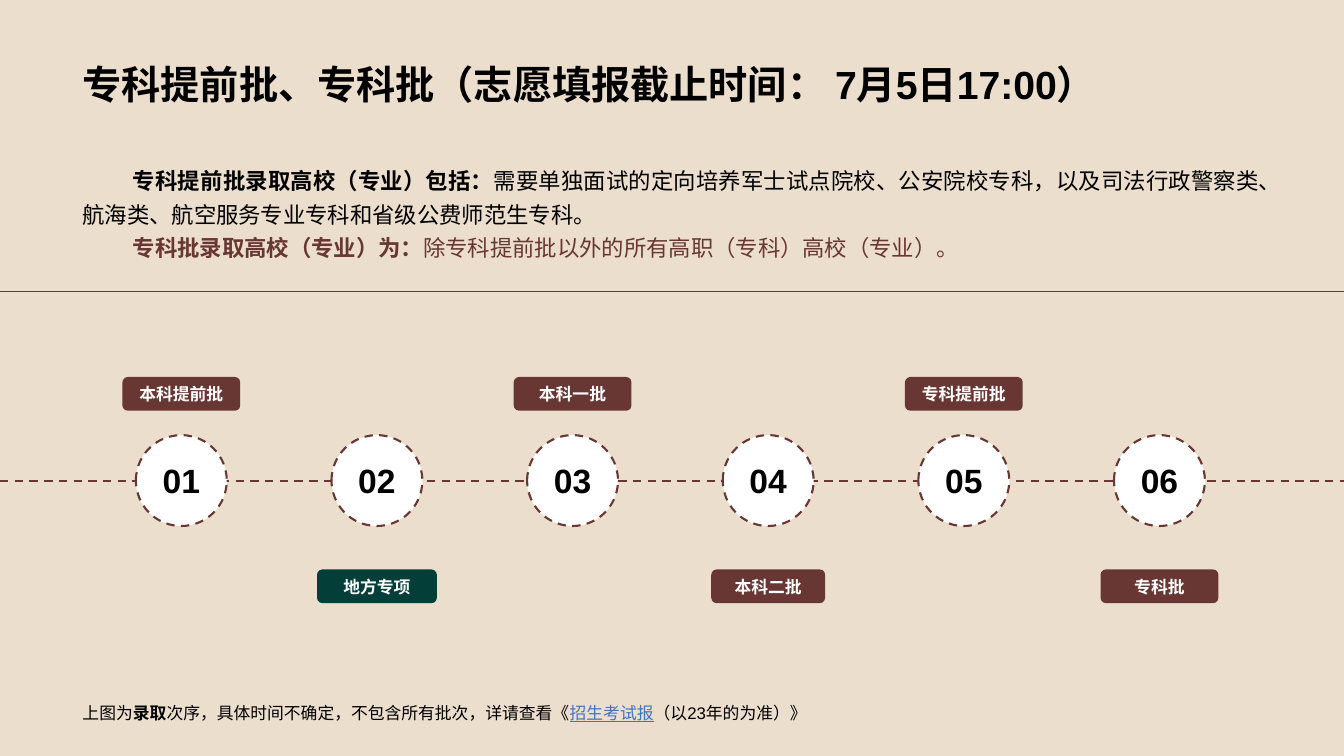
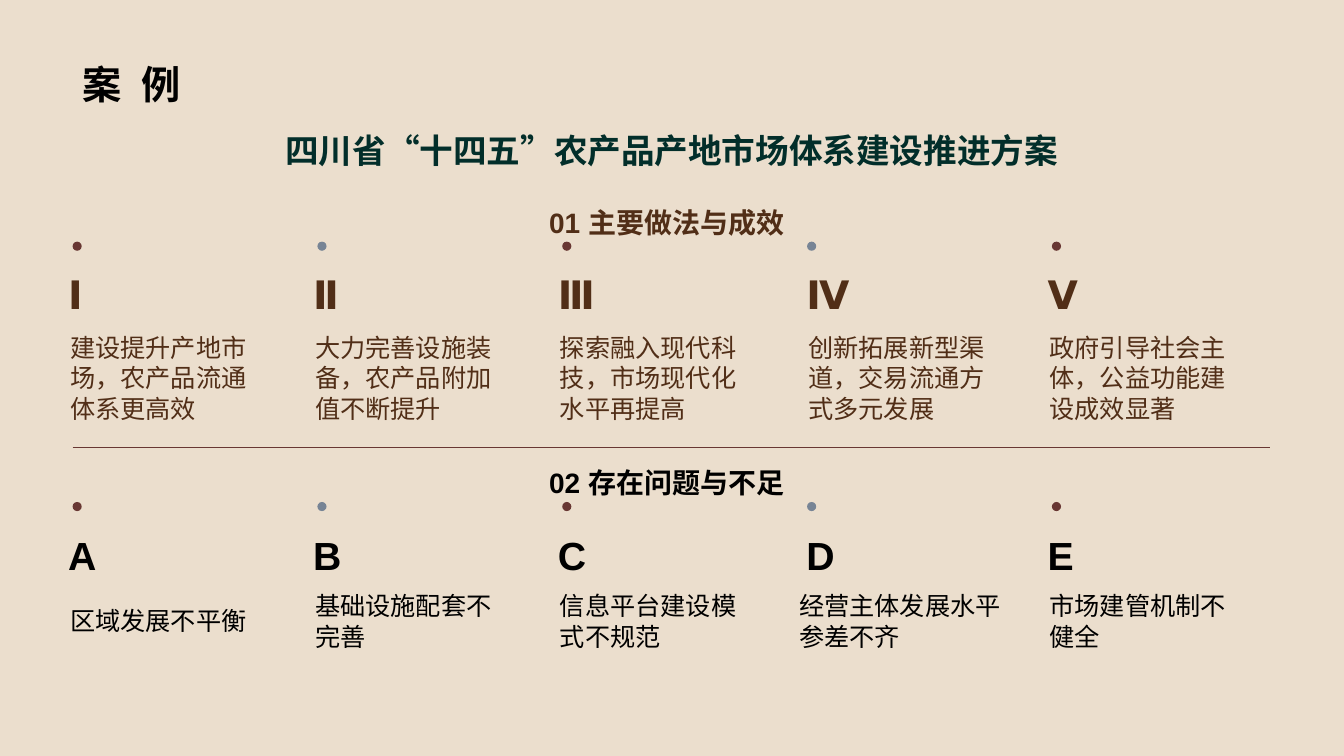
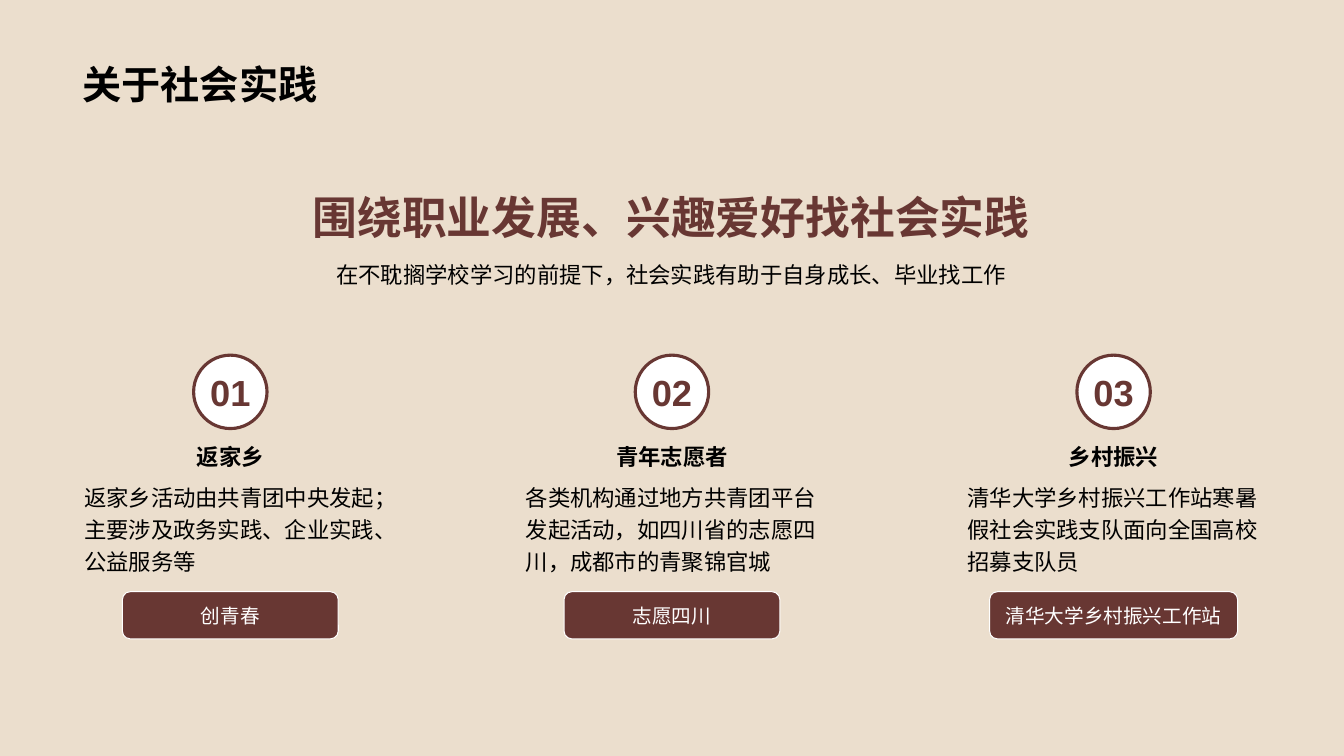
"""Build three slides on admission batches, a market case study and social practice."""
from dataclasses import dataclass, replace
from typing import Optional, Sequence

from lxml import etree
from pptx import Presentation
from pptx.dml.color import RGBColor
from pptx.enum.dml import MSO_LINE
from pptx.enum.lang import MSO_LANGUAGE_ID
from pptx.enum.shapes import MSO_CONNECTOR, MSO_SHAPE
from pptx.enum.text import MSO_ANCHOR, PP_ALIGN
from pptx.oxml.ns import qn
from pptx.shapes.autoshape import Shape
from pptx.slide import Slide
from pptx.util import Cm, Pt

LEFT, CENTER, JUSTIFY = PP_ALIGN.LEFT, PP_ALIGN.CENTER, PP_ALIGN.JUSTIFY
TOP, MIDDLE, BOTTOM = MSO_ANCHOR.TOP, MSO_ANCHOR.MIDDLE, MSO_ANCHOR.BOTTOM
ROUNDED, OVAL = MSO_SHAPE.ROUNDED_RECTANGLE, MSO_SHAPE.OVAL
STRAIGHT, DASH = MSO_CONNECTOR.STRAIGHT, MSO_LINE.DASH
CHINESE = MSO_LANGUAGE_ID.SIMPLIFIED_CHINESE

FONT = "Arial"
COLORS = {
    "sand": "EBDECD", "black": "000000", "white": "FFFFFF", "maroon": "683733",
    "brown": "512E17", "green": "033E38", "dark green": "022E2A",
    "slate": "778495", "blue": "4472C4",
}
SLIDE_WIDTH, SLIDE_HEIGHT = 33.87, 19.05
MARGIN, CONTENT_WIDTH = 1.83, 30.18


@dataclass(frozen=True)
class Style:
    """Formatting of a block of text."""
    size: float
    color: str = "black"
    bold: bool = False
    align: PP_ALIGN = LEFT
    anchor: MSO_ANCHOR = TOP
    spacing: float = 1.0
    inset: Optional[float] = None
    indent: float = 0
    tracking: float = 0


@dataclass(frozen=True)
class Span:
    """Stretch of text that may differ from its block's style."""
    text: str
    bold: bool = False
    color: str = "black"
    underline: bool = False


@dataclass(frozen=True)
class Box:
    """Position and size in centimetres."""
    left: float
    top: float
    width: float
    height: float


@dataclass(frozen=True)
class Outline:
    """Colour, width and dashing of a line."""
    color: str
    width: float
    dashed: bool = False


@dataclass(frozen=True)
class Batch:
    """Admission batch on the timeline."""
    name: str
    fill: str = "maroon"
    label_width: float = 2.97


@dataclass(frozen=True)
class Point:
    """Marked statement in a five-column row."""
    marker: str
    statement: str
    marker_shift: float = 0
    statement_shift: float = 0
    width: float = 5.62


@dataclass(frozen=True)
class Section:
    """Heading and row of points in the case study."""
    heading: str
    color: str
    top: float
    statement_top: float
    statement_height: float
    points: Sequence[Point]


@dataclass(frozen=True)
class Activity:
    """Kind of social practice with its platform."""
    name: str
    description: str
    platform: str
    platform_width: float = 5.44


TITLE = Style(28, bold=True, anchor=BOTTOM, spacing=0.9)
BADGE = Style(12, "white", True, CENTER, MIDDLE, inset=0)

INTRO = (
    (Span("专科提前批录取高校（专业）包括：", True),
     Span("需要单独面试的定向培养军士试点院校、公安院校专科，以及司法行政警察类、"
          "航海类、航空服务专业专科和省级公费师范生专科。")),
    (Span("专科批录取高校（专业）为：", True, "maroon"),
     Span("除专科提前批以外的所有高职（专科）高校（专业）。", color="maroon")),
)
FOOTNOTE = (
    Span("上图为"), Span("录取", True),
    Span("次序，具体时间不确定，不包含所有批次，详请查看《"),
    Span("招生考试报", color="blue", underline=True),
    Span("（以23年的为准）》"),
)
BATCHES = (
    Batch("本科提前批"), Batch("地方专项", "green", 3.02), Batch("本科一批"),
    Batch("本科二批", label_width=2.87), Batch("专科提前批"), Batch("专科批"),
)
SECTIONS = (
    Section("01 主要做法与成效", "brown", 5.05, 7.93, 3.18, (
        Point("Ⅰ", "建设提升产地市场，农产品流通体系更高效"),
        Point("Ⅱ", "大力完善设施装备，农产品附加值不断提升"),
        Point("Ⅲ", "探索融入现代科技，市场现代化水平再提高"),
        Point("Ⅳ", "创新拓展新型渠道，交易流通方式多元发展", 0.09, 0.09),
        Point("Ⅴ", "政府引导社会主体，公益功能建设成效显著"),
    )),
    Section("02 存在问题与不足", "black", 11.61, 14.58, 2.13, (
        Point("A", "区域发展不平衡"),
        Point("B", "基础设施配套不完善"),
        Point("C", "信息平台建设模式不规范"),
        Point("D", "经营主体发展水平参差不齐", 0.09, -0.14, 5.89),
        Point("E", "市场建管机制不健全"),
    )),
)
ACTIVITIES = (
    Activity("返家乡", "返家乡活动由共青团中央发起；主要涉及政务实践、企业实践、公益服务等", "创青春"),
    Activity("青年志愿者", "各类机构通过地方共青团平台发起活动，如四川省的志愿四川，成都市的青聚锦官城", "志愿四川"),
    Activity("乡村振兴", "清华大学乡村振兴工作站寒暑假社会实践支队面向全国高校招募支队员",
             "清华大学乡村振兴工作站", 6.25),
)


def rgb(name: str) -> RGBColor:
    """Look up a named colour."""
    return RGBColor.from_string(COLORS[name])


def write(shape: Shape, paragraphs: Sequence[Sequence[Span]], style: Style) -> None:
    """Fill a shape with paragraphs of spans."""
    frame = shape.text_frame
    frame.word_wrap = True
    frame.vertical_anchor = style.anchor
    if style.inset is not None:
        frame.margin_left = frame.margin_right = Cm(style.inset)
        frame.margin_top = frame.margin_bottom = Cm(style.inset)
    for number, spans in enumerate(paragraphs):
        paragraph = frame.add_paragraph() if number else frame.paragraphs[0]
        paragraph.alignment = style.align
        paragraph.line_spacing = style.spacing
        if style.indent:
            paragraph._p.get_or_add_pPr().set("indent", str(int(Cm(style.indent))))
        for span in spans:
            run = paragraph.add_run()
            run.text = span.text
            font = run.font
            font.name, font.size, font.bold = FONT, Pt(style.size), span.bold
            font.color.rgb = rgb(span.color)
            font.language_id = CHINESE
            if span.underline:
                font.underline = True
            if style.tracking:
                run._r.get_or_add_rPr().set("spc", str(round(style.tracking * 100)))


def write_plain(shape: Shape, text: str, style: Style) -> None:
    """Fill a shape with one uniformly styled paragraph."""
    write(shape, [[Span(text, style.bold, style.color)]], style)


def add_text_box(slide: Slide, box: Box) -> Shape:
    """Add an empty text box."""
    return slide.shapes.add_textbox(Cm(box.left), Cm(box.top), Cm(box.width), Cm(box.height))


def add_text(slide: Slide, box: Box, text: str, style: Style) -> None:
    """Add a text box with one paragraph."""
    write_plain(add_text_box(slide, box), text, style)


def add_title(slide: Slide, text: str, tracking: float = 0) -> None:
    """Add the slide title."""
    add_text(slide, Box(MARGIN, 0, CONTENT_WIDTH, 2.84), text, replace(TITLE, tracking=tracking))


def add_filled(slide: Slide, kind: MSO_SHAPE, box: Box, fill: str,
               outline: Optional[Outline] = None, corner: Optional[float] = None) -> Shape:
    """Add a flat filled shape."""
    shape = slide.shapes.add_shape(kind, Cm(box.left), Cm(box.top), Cm(box.width), Cm(box.height))
    shape.shadow.inherit = False
    shape.fill.solid()
    shape.fill.fore_color.rgb = rgb(fill)
    if corner is not None:
        shape.adjustments[0] = corner
    if outline:
        style_line(shape.line, outline)
    else:
        shape.line.fill.background()
    return shape


def style_line(line, outline: Outline) -> None:
    """Apply an outline to a line format."""
    line.color.rgb = rgb(outline.color)
    line.width = Pt(outline.width)
    if outline.dashed:
        line.dash_style = DASH


def add_rule(slide: Slide, left: float, right: float, y: float, outline: Outline) -> None:
    """Add a horizontal line."""
    rule = slide.shapes.add_connector(STRAIGHT, Cm(left), Cm(y), Cm(right), Cm(y))
    style_line(rule.line, outline)
    etree.SubElement(rule._element.spPr, qn("a:effectLst"))


def build_batches(slide: Slide) -> None:
    """Draw the admission timeline."""
    add_title(slide, "专科提前批、专科批（志愿填报截止时间： 7月5日17:00）")
    intro = add_text_box(slide, Box(MARGIN, 3.91, CONTENT_WIDTH, 2.82))
    write(intro, INTRO, Style(16, align=JUSTIFY, anchor=MIDDLE, spacing=1.25, indent=1.27))
    add_rule(slide, 0, SLIDE_WIDTH, 7.34, Outline("maroon", 0.5))

    axis, diameter, first_center, step = 12.13, 2.29, 4.57, 4.93
    dashed = Outline("maroon", 1.5, True)
    add_rule(slide, 0, SLIDE_WIDTH, axis, dashed)
    for index, batch in enumerate(BATCHES):
        center = first_center + index * step
        disc = Box(center - diameter / 2, axis - diameter / 2 - 0.02, diameter, diameter)
        number = add_filled(slide, ROUNDED, disc, "white", dashed, 0.5)
        write_plain(number, f"{index + 1:02}", replace(BADGE, size=24, color="black"))
        label_top = 14.35 if index % 2 else 9.5
        label_box = Box(center - batch.label_width / 2, label_top, batch.label_width, 0.85)
        label = add_filled(slide, ROUNDED, label_box, batch.fill, corner=0.16)
        write_plain(label, batch.name, BADGE)

    footnote = add_text_box(slide, Box(MARGIN, 17.32, 18.97, 1.02))
    write(footnote, [FOOTNOTE], Style(12, spacing=1.5))


def add_section(slide: Slide, section: Section) -> None:
    """Draw one heading with its five points."""
    add_text(slide, Box(8.36, section.top, 16.89, 1.12), section.heading,
             Style(20, section.color, True, CENTER))
    marker_style = Style(28, section.color, True, anchor=BOTTOM)
    statement_style = Style(18, section.color, anchor=MIDDLE, inset=0.3)
    for index, point in enumerate(section.points):
        offset = index * 6.17
        left = 1.47 + offset
        add_filled(slide, OVAL, Box(MARGIN + offset, section.top + 1.04, 0.23, 0.23),
                   "slate" if index % 2 else "maroon")
        add_text(slide, Box(left + point.marker_shift, section.top + 1.63, 1.8, 1.45),
                 point.marker, marker_style)
        add_text(slide, Box(left + point.statement_shift, section.statement_top,
                            point.width, section.statement_height),
                 point.statement, statement_style)


def build_case(slide: Slide) -> None:
    """Draw the market case study."""
    add_title(slide, "案 例", tracking=3.9)
    add_text(slide, Box(6.78, 3.15, 20.29, 1.27), "四川省“十四五”农产品产地市场体系建设推进方案",
             Style(24, "dark green", True, CENTER))
    for section in SECTIONS:
        add_section(slide, section)
    add_rule(slide, MARGIN, MARGIN + CONTENT_WIDTH, 11.28, Outline("maroon", 0.5))


def build_practice(slide: Slide) -> None:
    """Draw the social practice overview."""
    add_title(slide, "关于社会实践")
    add_text(slide, Box(MARGIN, 4.75, CONTENT_WIDTH, 1.5), "围绕职业发展、兴趣爱好找社会实践",
             Style(32, "maroon", True, CENTER, BOTTOM))
    add_text(slide, Box(MARGIN, 6.25, CONTENT_WIDTH, 1.14),
             "在不耽搁学校学习的前提下，社会实践有助于自身成长、毕业找工作",
             Style(16, align=CENTER, spacing=1.3))

    width, diameter, step = 7.87, 1.85, 11.13
    for index, activity in enumerate(ACTIVITIES):
        left = 1.87 + index * step
        center = left + width / 2
        disc = Box(center - diameter / 2, 8.95, diameter, diameter)
        number = add_filled(slide, OVAL, disc, "white", Outline("maroon", 2.25))
        write_plain(number, f"{index + 1:02}", replace(BADGE, size=25.9, color="maroon"))
        add_text(slide, Box(left, 10.49, width, 1.47), activity.name,
                 Style(16, bold=True, align=CENTER, anchor=BOTTOM, spacing=1.5))
        add_text(slide, Box(left, 11.94, width, 1.93), activity.description,
                 Style(16, spacing=1.2))
        button = Box(center - activity.platform_width / 2, 14.91, activity.platform_width, 1.19)
        platform = add_filled(slide, ROUNDED, button, "maroon", Outline("white", 0.75))
        write_plain(platform, activity.platform, replace(BADGE, size=14, bold=False))


def main() -> None:
    """Build and save the presentation."""
    presentation = Presentation()
    presentation.slide_width, presentation.slide_height = Cm(SLIDE_WIDTH), Cm(SLIDE_HEIGHT)
    backdrop = presentation.slide_master.background.fill
    backdrop.solid()
    backdrop.fore_color.rgb = rgb("sand")
    blank = presentation.slide_layouts[6]
    for build in (build_batches, build_case, build_practice):
        build(presentation.slides.add_slide(blank))
    presentation.save("out.pptx")


if __name__ == "__main__":
    main()
